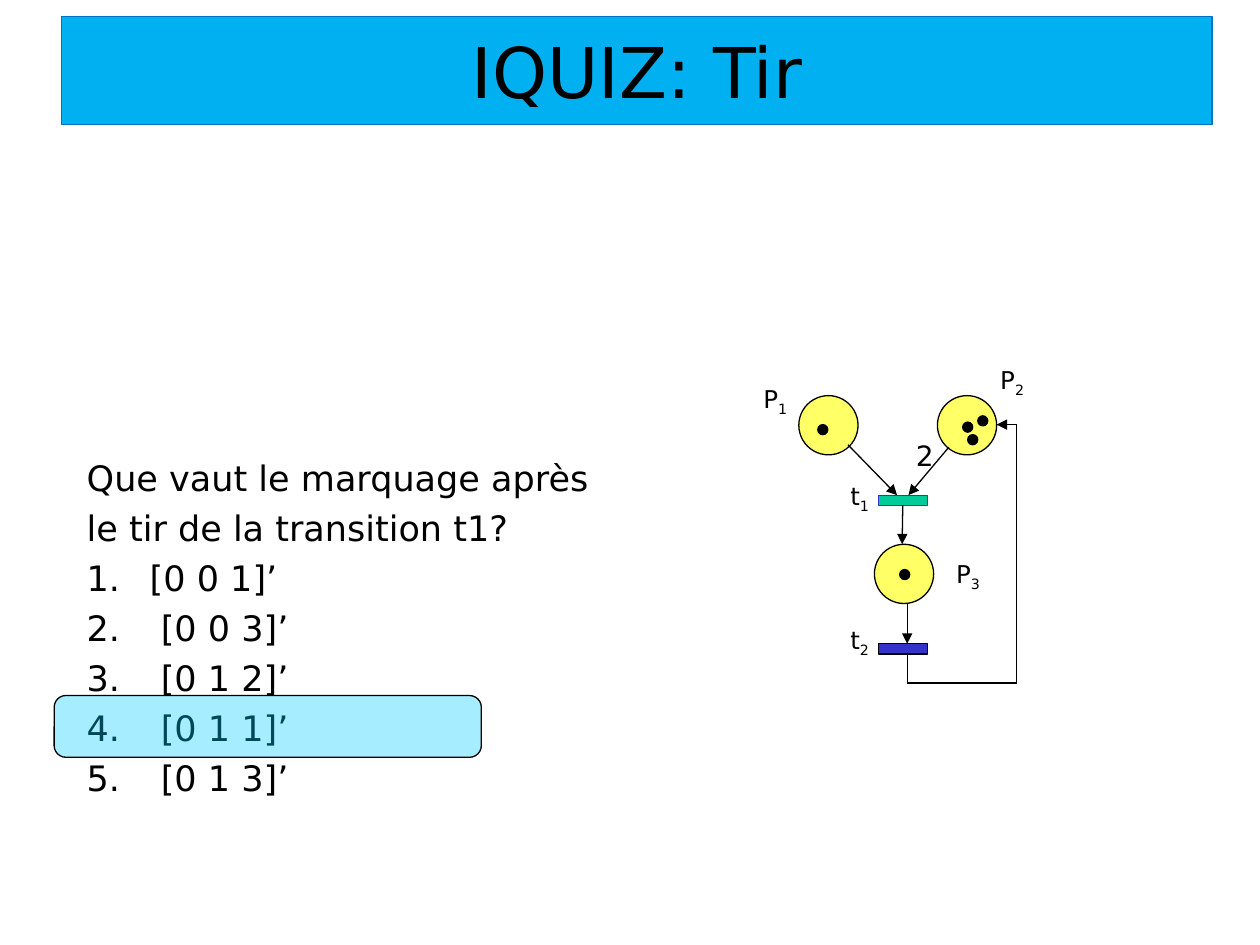
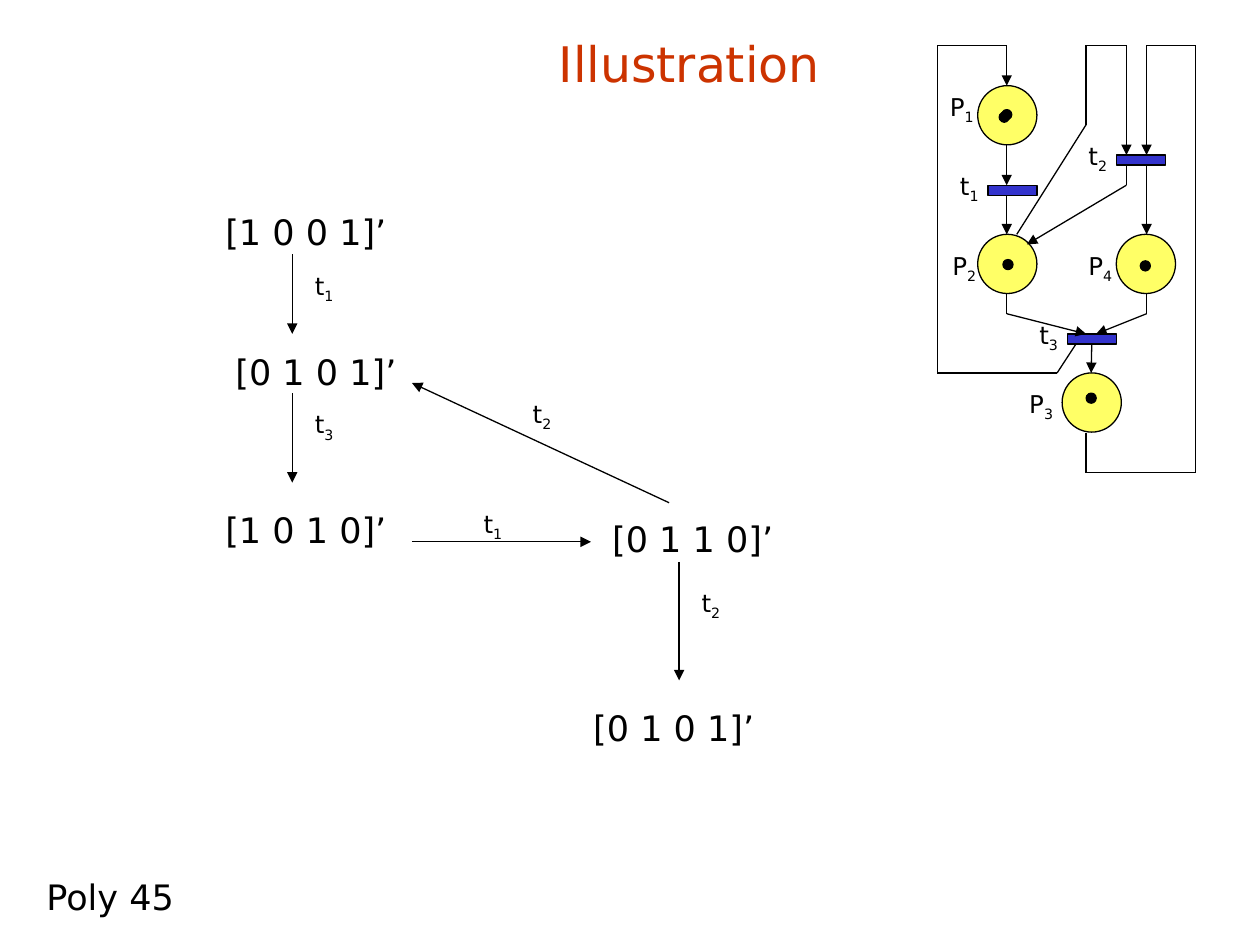
from dataclasses import dataclass
from itertools import pairwise

from lxml.etree import SubElement
from pptx import Presentation
from pptx.dml.color import RGBColor
from pptx.enum.shapes import MSO_CONNECTOR as CONN, MSO_SHAPE as SHAPE
from pptx.enum.text import MSO_ANCHOR, MSO_AUTO_SIZE, PP_ALIGN
from pptx.oxml.ns import qn
from pptx.util import Inches, Pt


@dataclass(frozen=True)
class Theme:
    font: str = "DejaVu Sans"
    ink: str = "000000"
    place: str = "FFFF66"
    bar: str = "3333CC"
    enabled: str = "00CC99"
    answer: str = "00CCFF"
    band: str = "00B0F0"
    band_line: str = "0070C0"
    heading: str = "CC3300"
    quiz_size: int = 40
    title_size: int = 28
    body_size: int = 20
    weight_size: int = 16
    label_size: int = 14
    line: float = 0.75


T = Theme()
PLACE, TOKEN, BAR = (0.47, 0.47), (0.08, 0.08), (0.39, 0.08)

# Quiz content
QUESTION = ["Que vaut le marquage après", "le tir de la transition t1?"]
CHOICES = ["[0 0 1]’", " [0 0 3]’", " [0 1 2]’", " [0 1 1]’", " [0 1 3]’"]
QUIZ_NET = {
    "places": [(7.44, 3.14), (6.94, 4.32), (6.34, 3.14)],
    "bars": [(6.97, 5.11, T.bar, T.ink), (6.97, 3.93, T.enabled, T.bar)],
    "tokens": [(7.64, 3.35), (7.76, 3.3), (7.68, 3.45), (6.49, 3.37), (7.14, 4.52)],
    "arcs": [
        [(7.53, 3.55), (7.21, 3.93)],
        [(6.73, 3.53), (7.12, 3.93)],
        [(7.16, 4.01), (7.16, 4.32)],
        [(7.2, 4.79), (7.2, 5.11)],
        [(7.2, 5.18), (7.2, 5.42), (8.07, 5.42), (8.07, 3.37), (7.91, 3.37)],
    ],
    "labels": [("t1", 6.65, 3.77), ("t2", 6.65, 4.91), ("P1", 5.96, 3),
               ("P2", 7.84, 2.85), ("P3", 7.49, 4.39)],
}

# Illustration content
CYCLE_NET = {
    "places": [(8.86, 1.86), (7.76, 1.86), (7.76, 0.68), (8.43, 2.96)],
    "bars": [(7.84, 1.47, T.bar, T.ink), (8.47, 2.65, T.bar, T.ink),
             (8.86, 1.23, T.bar, T.ink)],
    "tokens": [(9.05, 2.07), (7.95, 0.87), (7.93, 0.89), (7.96, 2.06), (8.62, 3.12)],
    "arcs": [
        [(7.99, 1.15), (7.99, 1.47)],
        [(7.99, 1.55), (7.99, 1.86)],
        [(7.99, 2.33), (7.99, 2.49), (8.62, 2.65)],
        [(9.1, 2.33), (9.1, 2.49), (8.7, 2.65)],
        [(8.66, 2.73), (8.66, 2.96)],
        [(8.94, 1.31), (8.94, 1.47), (8.15, 1.94)],
        [(9.1, 1.31), (9.1, 1.86)],
        [(8.62, 3.44), (8.62, 3.75), (9.49, 3.75), (9.49, 0.36), (9.1, 0.36), (9.1, 1.23)],
        [(8.07, 1.86), (8.62, 0.99), (8.62, 0.36), (8.94, 0.36), (8.94, 1.23)],
        [(8.54, 2.73), (8.39, 2.96), (7.44, 2.96), (7.44, 0.36), (7.99, 0.36), (7.99, 0.68)],
    ],
    "labels": [("t1", 7.52, 1.31), ("t2", 8.54, 1.07), ("t3", 8.15, 2.49),
               ("P1", 7.44, 0.68), ("P2", 7.46, 1.94), ("P4", 8.54, 1.94),
               ("P3", 8.07, 3.04)],
}
MARKINGS = [("[1 0 0 1]’", 1.69, 1.62), ("[0 1 0 1]’", 1.77, 2.73),
            ("[1 0 1 0]’", 1.69, 3.99), ("[0 1 1 0]’", 4.76, 4.06),
            ("[0 1 0 1]’", 4.61, 5.56)]
FIRINGS = [  # label, its corner, arrow
    ("t1", 2.4, 2.1, [(2.32, 2.02), (2.32, 2.65)]),
    ("t3", 2.4, 3.2, [(2.32, 3.12), (2.32, 3.83)]),
    ("t1", 3.74, 3.99, [(3.27, 4.3), (4.69, 4.3)]),
    ("t2", 5.47, 4.62, [(5.39, 4.46), (5.39, 5.4)]),
    ("t2", 4.13, 3.12, [(5.31, 3.99), (3.27, 3.04)]),
]


def rgb(color):
    return RGBColor.from_string(color)


def add_run(p, text, size, color=T.ink):
    r = p.add_run()
    r.text = text
    for name, value in {"name": T.font, "size": Pt(size)}.items():
        setattr(r.font, name, value)
    r.font.color.rgb = rgb(color)
    return r


def add_text(s, x, y, w, h, text="", size=T.body_size, sub=""):
    tf = s.shapes.add_textbox(*map(Inches, (x, y, w, h))).text_frame
    tf.word_wrap = True
    if text:
        add_run(tf.paragraphs[0], text, size)
    if sub:
        r = add_run(tf.paragraphs[0], sub, size)
        r.font._element.set("baseline", "-25000")
    return tf


def add_label(s, name, x, y):
    add_text(s, x, y, 0.46, 0.33, name[0], T.label_size, name[1])


def paint(sp, fill, line=T.ink):
    sp.fill.solid()
    sp.fill.fore_color.rgb = rgb(fill)
    sp.line.color.rgb = rgb(line)
    sp.line.width = Pt(T.line)


def add_shape(s, kind, x, y, size, fill, line=T.ink):
    sp = s.shapes.add_shape(kind, *map(Inches, (x, y, *size)))
    sp.shadow.inherit = False
    paint(sp, fill, line)
    return sp


def set_title(s, text, box, size, color):
    sp = s.shapes.title
    for name, value in zip(("left", "top", "width", "height"), box):
        setattr(sp, name, Inches(value))
    tf = sp.text_frame
    for name, value in {"vertical_anchor": MSO_ANCHOR.MIDDLE, "word_wrap": True,
                        "auto_size": MSO_AUTO_SIZE.NONE}.items():
        setattr(tf, name, value)
    tf.paragraphs[0].alignment = PP_ALIGN.CENTER
    add_run(tf.paragraphs[0], text, size, color)
    return sp


def add_arc(s, points, bars=()):
    """Draw a chain of lines; the last one carries the arrowhead."""
    for start, end in pairwise(points):
        c = s.shapes.add_connector(CONN.STRAIGHT, *map(Inches, start + end))
        c.line.color.rgb = rgb(T.ink)
        c.line.width = Pt(T.line)
        SubElement(c._element.spPr, qn("a:effectLst"))
        for (x, y), connect in ((start, c.begin_connect), (end, c.end_connect)):
            for bar, left, top in bars:
                for site, side in ((0, top), (2, top + BAR[1])):
                    if abs(x - left - BAR[0] / 2) < 0.02 and abs(y - side) < 0.02:
                        connect(bar, site)
    SubElement(c.line._get_or_add_ln(), qn("a:tailEnd"), type="triangle")


def add_net(s, net):
    for x, y in net["places"]:
        add_shape(s, SHAPE.OVAL, x, y, PLACE, T.place)
    bars = [(add_shape(s, SHAPE.RECTANGLE, x, y, BAR, fill, line), x, y)
            for x, y, fill, line in net["bars"]]
    for points in net["arcs"]:
        add_arc(s, points, bars)
    for x, y in net["tokens"]:
        add_shape(s, SHAPE.OVAL, x, y, TOKEN, T.ink)
    for label in net["labels"]:
        add_label(s, *label)


def build_quiz(s):
    band = set_title(s, "IQUIZ: Tir", (0.49, 0.13, 9.13, 0.86), T.quiz_size, T.ink)
    paint(band, T.band, T.band_line)
    add_net(s, QUIZ_NET)
    add_text(s, 7.17, 3.43, 0.32, 0.37, "2", T.weight_size)

    # Question and numbered choices
    tf = add_text(s, 0.59, 3.57, 5.2, 2.9)
    for i, text in enumerate(QUESTION + CHOICES):
        p = tf.add_paragraph() if i else tf.paragraphs[0]
        if i:
            p.space_before = Pt(4.66)
        if i >= len(QUESTION):
            pPr = p._p.get_or_add_pPr()
            pPr.set("marL", str(Inches(0.5)))
            pPr.set("indent", str(Inches(-0.5)))
            SubElement(pPr, qn("a:buAutoNum"), type="arabicPeriod")
        add_run(p, text, T.body_size)

    # See-through frame on the right answer
    frame = add_shape(s, SHAPE.ROUNDED_RECTANGLE, 0.43, 5.52, (3.39, 0.49), T.answer)
    frame.adjustments[0] = 0.19
    color = frame._element.spPr.find(qn("a:solidFill"))[0]
    SubElement(color, qn("a:alpha"), val="35000")


def build_illustration(s):
    set_title(s, "Illustration", (1.22, 0, 8.5, 1), T.title_size, T.heading)
    add_net(s, CYCLE_NET)

    # Graph of markings
    for text, x, y in MARKINGS:
        add_text(s, x, y, 2.6, 0.43, text)
    for name, x, y, points in FIRINGS:
        add_arc(s, points)
        add_label(s, name, x, y)
    add_text(s, 0.27, 6.9, 1.42, 0.44, "Poly 45")


def main():
    prs = Presentation()
    prs.slide_width, prs.slide_height = Inches(10), Inches(7.5)
    for build in (build_quiz, build_illustration):
        build(prs.slides.add_slide(prs.slide_layouts[5]))
    prs.save("out.pptx")


if __name__ == "__main__":
    main()
